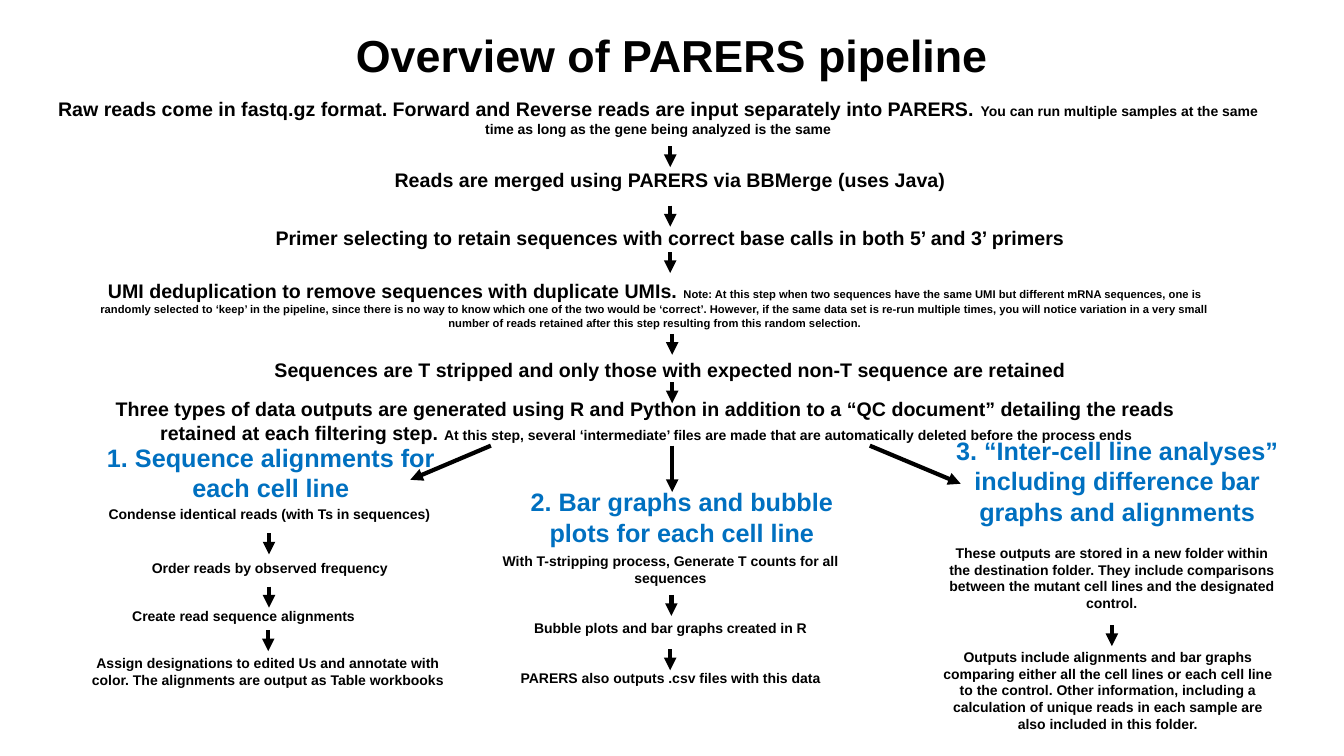
"""Build the one-slide overview of the PARERS pipeline."""
from lxml import etree
from pptx import Presentation
from pptx.dml.color import RGBColor
from pptx.enum.shapes import MSO_CONNECTOR
from pptx.enum.text import MSO_ANCHOR, MSO_AUTO_SIZE, PP_ALIGN
from pptx.oxml.ns import qn
from pptx.util import Cm, Pt

BLACK = RGBColor(0x00, 0x00, 0x00)
BLUE = RGBColor(0x00, 0x70, 0xC0)
STRAIGHT = MSO_CONNECTOR.STRAIGHT
TOP = MSO_ANCHOR.TOP
NO_AUTOFIT = MSO_AUTO_SIZE.NONE
CENTER = PP_ALIGN.CENTER
STEP_DROP = 0.53

TITLE = (0.91, 0.58, 32.05, 1.63)

STEPS = [
    (0.91, 2.31, 31.34, 1.27, [
        ("Raw reads come in fastq.gz format. Forward and Reverse reads are input "
         "separately into PARERS. ", 14),
        ("You can run multiple samples at the same time as long as the gene being "
         "analyzed is the same", 10)]),
    (6.55, 4.11, 20.68, 0.86, [
        ("Reads are merged using PARERS via BBMerge (uses Java)", 14)]),
    (6.48, 5.56, 20.83, 0.86, [
        ("Primer selecting to retain sequences with correct base calls in both "
         "5’ and 3’ primers", 14)]),
    (1.93, 6.91, 29.16, 1.55, [
        ("UMI deduplication to remove sequences with duplicate UMIs. ", 14),
        ("Note: At this step when two sequences have the same UMI but different mRNA "
         "sequences, one is randomly selected to ‘keep’ in the pipeline, since there "
         "is no way to know which one of the two would be ‘correct’. However, if the "
         "same data set is re-run multiple times, you will notice variation in a very "
         "small number of reads retained after this step resulting from this random "
         "selection.", 8)]),
    (6.48, 8.89, 20.83, 0.86, [
        ("Sequences are T stripped and only those with expected non-T sequence are "
         "retained", 14)]),
    (2.29, 9.88, 27.97, 1.45, [
        ("Three types of data outputs are generated using R and Python in addition to "
         "a “QC document” detailing the reads retained at each filtering step. ", 14),
        ("At this step, several ‘intermediate’ files are made that are automatically "
         "deleted before the process ends", 10)]),
]

HEADINGS = [
    (2.29, 11.02, 9.07, 1.8, "1. Sequence alignments for each cell line"),
    (12.65, 12.14, 9.07, 1.8, "2. Bar graphs and bubble plots for each cell line"),
    (23.62, 10.85, 9.07, 2.57,
     "3. “Inter-cell line analyses” including difference bar graphs and alignments"),
]

DETAILS = [
    (0.69, 12.62, 12.19, 0.69, "Condense identical reads (with Ts in sequences)"),
    (2.03, 13.97, 9.53, 0.69, "Order reads by observed frequency"),
    (1.37, 15.19, 9.53, 0.69, "Create read sequence alignments"),
    (1.98, 16.36, 9.53, 1.12,
     "Assign designations to edited Us and annotate with color. The alignments are "
     "output as Table workbooks"),
    (12.4, 13.79, 8.99, 1.12,
     "With T-stripping process, Generate T counts for all sequences"),
    (12.4, 15.49, 8.99, 0.69, "Bubble plots and bar graphs created in R"),
    (12.4, 16.74, 8.99, 0.69, "PARERS also outputs .csv files with this data"),
    (23.52, 13.59, 8.99, 1.96,
     "These outputs are stored in a new folder within the destination folder. They "
     "include comparisons between the mutant cell lines and the designated control."),
    (23.42, 16.21, 8.99, 2.39,
     "Outputs include alignments and bar graphs comparing either all the cell lines "
     "or each cell line to the control. Other information, including a calculation "
     "of unique reads in each sample are also included in this folder."),
]

STEP_ARROWS = [
    (16.89, 3.68), (16.89, 5.18), (16.89, 6.35), (16.94, 8.41), (16.94, 9.63),
    (6.78, 13.44), (6.78, 14.78), (6.76, 15.88),
    (16.92, 14.99), (16.89, 16.36), (28.02, 15.75),
]
BRANCH_ARROWS = [
    (12.37, 11.23, 10.34, 12.09),
    (16.94, 11.23, 16.94, 12.4),
    (21.92, 11.23, 24.21, 12.19),
]


def fill_box(box, spans, color):
    frame = box.text_frame
    frame_format = {"word_wrap": True, "auto_size": NO_AUTOFIT, "vertical_anchor": TOP}
    for name, value in frame_format.items():
        setattr(frame, name, value)
    para = frame.paragraphs[0]
    para.alignment = CENTER
    for text, size in spans:
        span = para.add_run()
        span.text = text
        span.font.color.rgb = color
        font_format = {"name": "Arial", "size": Pt(size), "bold": True}
        for name, value in font_format.items():
            setattr(span.font, name, value)


deck = Presentation()
deck.slide_width = Cm(33.87)
deck.slide_height = Cm(19.05)
page = deck.slides.add_slide(deck.slide_layouts[5])

title = page.shapes.title
for side, length in zip(("left", "top", "width", "height"), TITLE):
    setattr(title, side, Cm(length))
fill_box(title, [("Overview of PARERS pipeline", 32)], BLACK)

texts = [(*step, BLACK) for step in STEPS]
texts += [(*place, [(text, 18)], BLUE) for *place, text in HEADINGS]
texts += [(*place, [(text, 10)], BLACK) for *place, text in DETAILS]
for *place, spans, color in texts:
    box = page.shapes.add_textbox(*map(Cm, place))
    fill_box(box, spans, color)

arrows = [(x, y, x, y + STEP_DROP) for x, y in STEP_ARROWS] + BRANCH_ARROWS
for ends in arrows:
    arrow = page.shapes.add_connector(STRAIGHT, *map(Cm, ends))
    arrow.line.color.rgb = BLACK
    arrow.line.width = Pt(3)
    etree.SubElement(arrow.line._get_or_add_ln(), qn("a:tailEnd"), type="triangle")
    etree.SubElement(arrow._element.spPr, qn("a:effectLst"))

deck.save("out.pptx")
